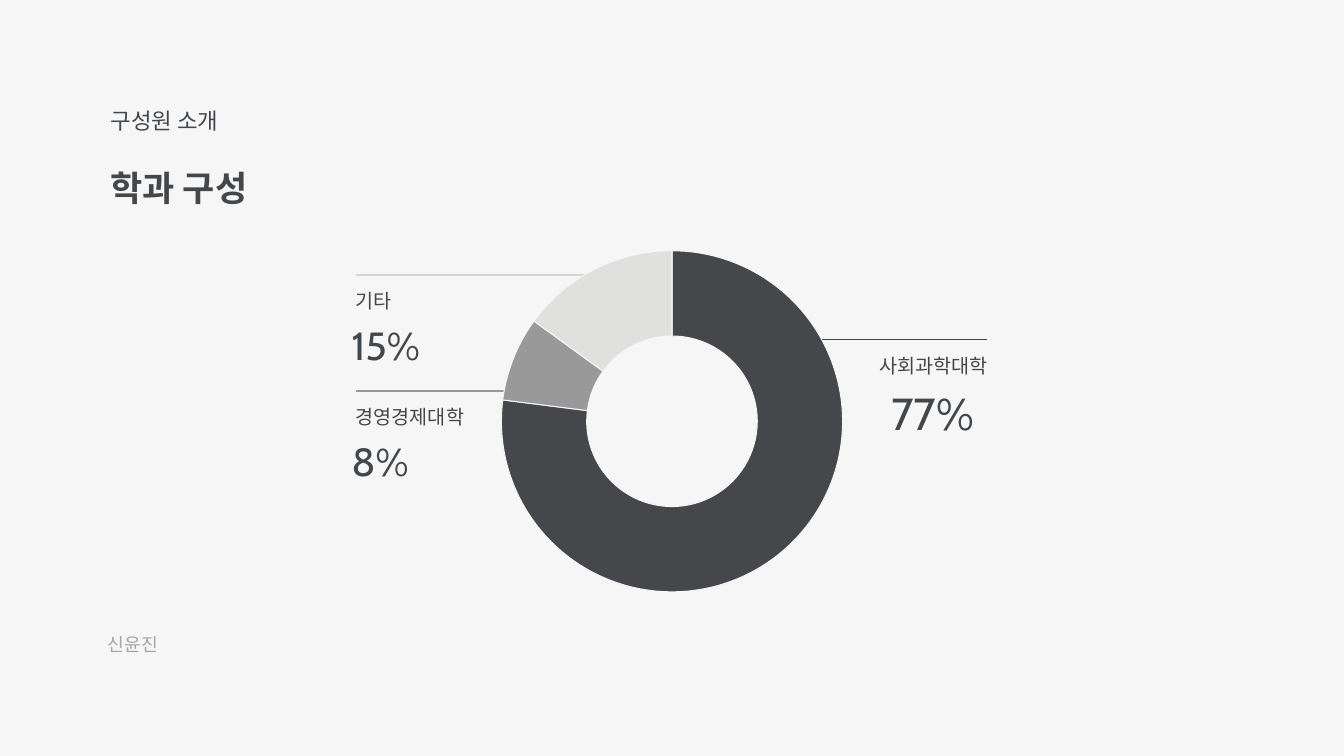
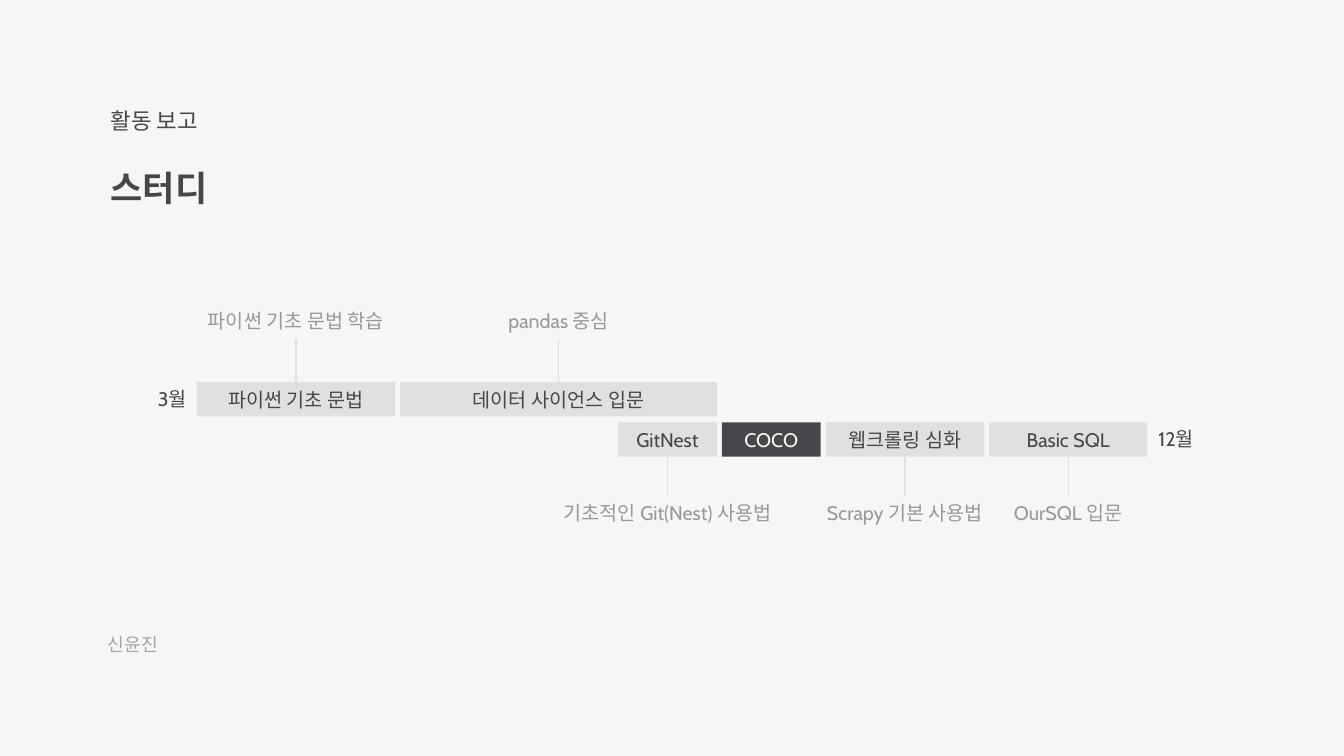
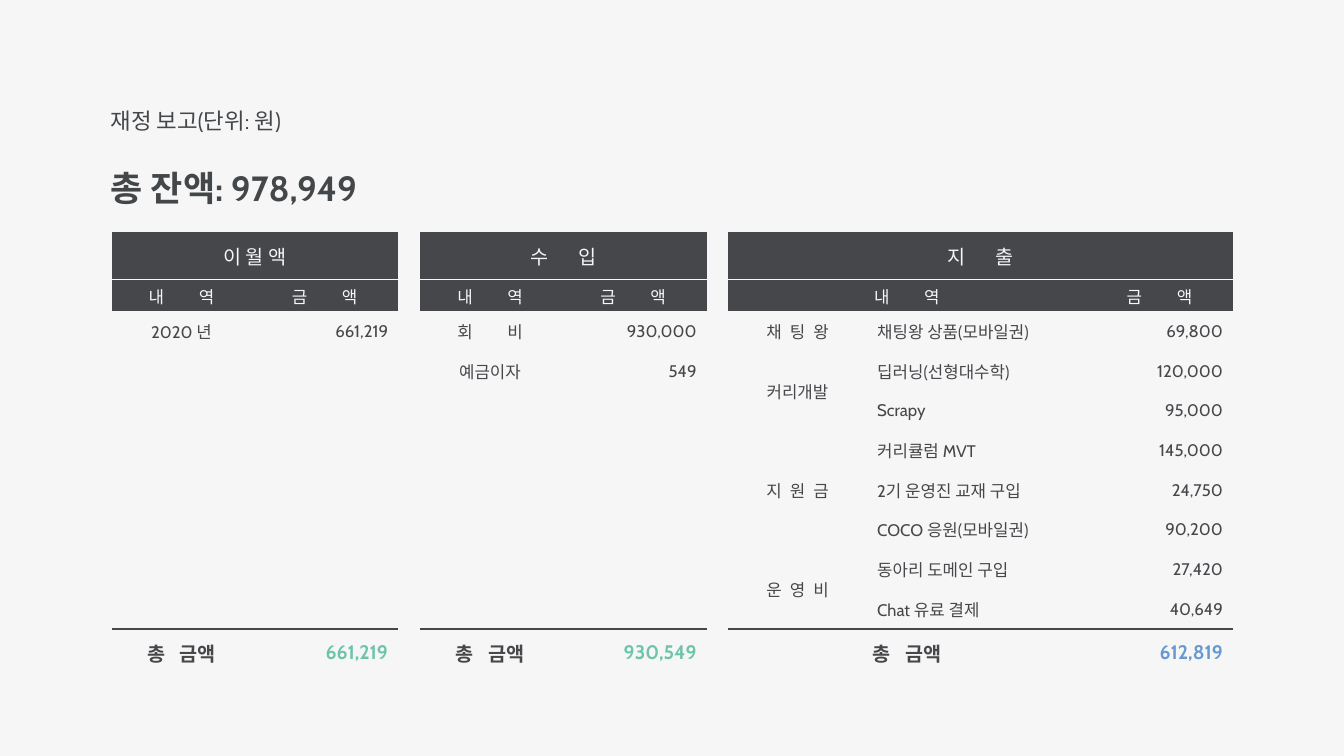
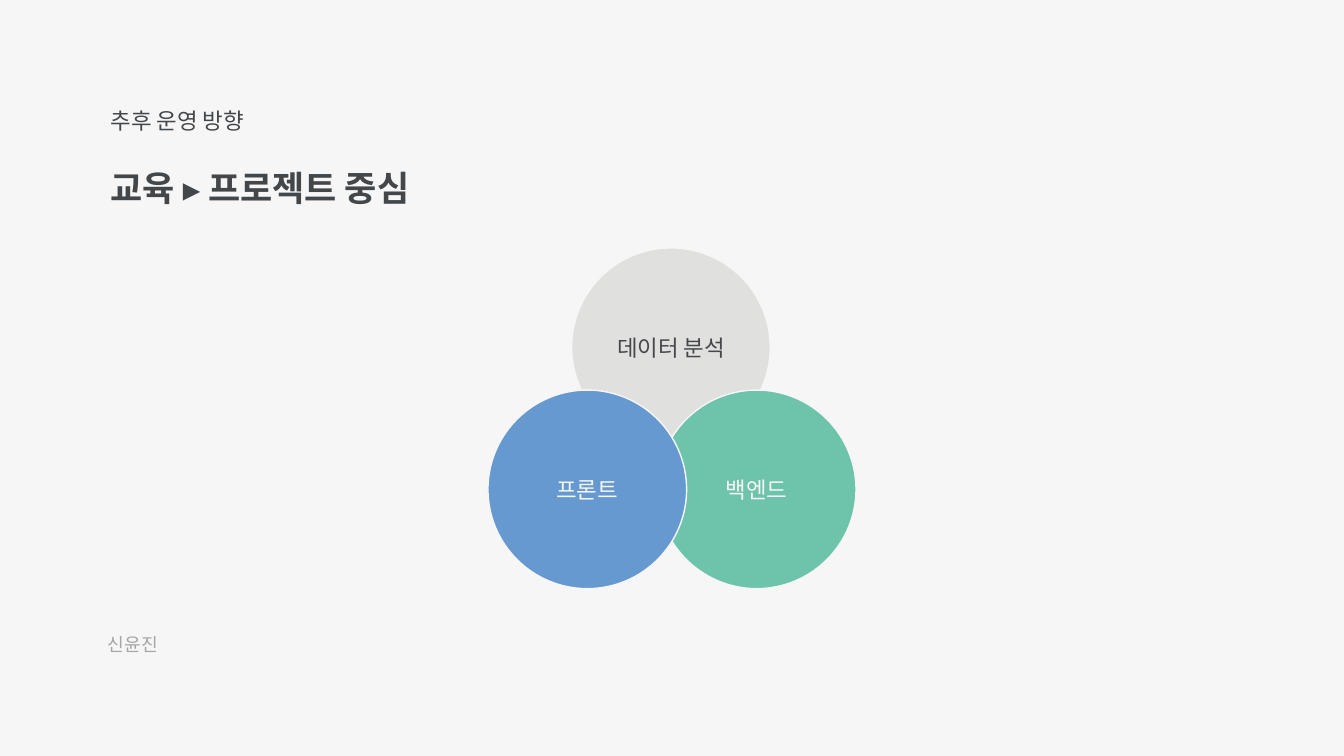
from lxml import etree
from pptx import Presentation
from pptx.chart.data import CategoryChartData
from pptx.dml.color import RGBColor
from pptx.enum.chart import XL_CHART_TYPE
from pptx.enum.shapes import MSO_CONNECTOR, MSO_SHAPE
from pptx.enum.text import MSO_ANCHOR, MSO_AUTO_SIZE, PP_ALIGN
from pptx.oxml.ns import qn
from pptx.util import Inches, Pt

LEFT, CENTER, RIGHT = PP_ALIGN.LEFT, PP_ALIGN.CENTER, PP_ALIGN.RIGHT
MIDDLE = MSO_ANCHOR.MIDDLE
FIT_SHAPE = MSO_AUTO_SIZE.SHAPE_TO_FIT_TEXT
STRAIGHT = MSO_CONNECTOR.STRAIGHT
RECTANGLE, CIRCLE = MSO_SHAPE.RECTANGLE, MSO_SHAPE.FLOWCHART_CONNECTOR
DOUGHNUT = XL_CHART_TYPE.DOUGHNUT
TOP_SIDE, BOTTOM_SIDE = 0, 2

FONT = "Cabin"
NO_TABLE_STYLE = "{2D5ABB26-0587-4C30-8999-92F81FD0307C}"
COLORS = {
    "paper": "F6F6F6", "text": "44474A", "dark": "45474A", "gray": "999999",
    "author": "A6A6A6", "rule": "D5D5D5", "light": "E0E0DF",
    "green": "6EC3AB", "blue": "6799D1",
}
RGB = {name: RGBColor.from_string(value) for name, value in COLORS.items()}

# Extra points between the letters of spaced-out table labels
LETTER_SPACING = {
    "수 입": 9, "지 출": 9, "내 역": 11, "금 액": 11, "회 비": 11,
    "채 팅 왕": 1.5, "지 원 금": 1.5, "운 영 비": 1.5, "총 금액": 3.5,
}


def write(frame, text, size, color="text", align=LEFT, bold=False):
    """Fill a text frame with one paragraph, spacing out listed labels."""
    para = frame.paragraphs[0]
    para.alignment = align
    para.font.name = FONT
    para.font.size = Pt(size)
    para.font.bold = bold
    para.font.color.rgb = RGB[color]
    spacing = LETTER_SPACING.get(text)
    if spacing:
        head, gap, tail = text.rpartition(" ")
        span = para.add_run()
        span.text = head + gap
        span._r.get_or_add_rPr().set("spc", str(int(spacing * 100)))
        text = tail
    if text:
        para.add_run().text = text


def add_text(page, left, top, width, height, text, size, *style):
    box = page.shapes.add_textbox(Inches(left), Inches(top), Inches(width), Inches(height))
    box.text_frame.word_wrap = True
    box.text_frame.auto_size = FIT_SHAPE
    write(box.text_frame, text, size, *style)
    return box


deck = Presentation()
deck.slide_width, deck.slide_height = Inches(13.33), Inches(7.5)
background = deck.slide_master.background.fill
background.solid()
background.fore_color.rgb = RGB["paper"]

# Shared headings and author line
headings = [
    ("구성원 소개", "학과 구성", True),
    ("활동 보고", "스터디", True),
    ("재정 보고(단위: 원)", "총 잔액: 978,949", False),
    ("추후 운영 방향", "교육 ▸ 프로젝트 중심", True),
]
pages = []
for section, title, has_author in headings:
    page = deck.slides.add_slide(deck.slide_layouts[6])
    add_text(page, 1, 1.01, 1.93, 0.37, section, 16)
    add_text(page, 1, 1.6, 3.68, 0.52, title, 25, "text", LEFT, True)
    if has_author:
        add_text(page, 0.97, 6.23, 0.74, 0.32, "신윤진", 13, "author")
    pages.append(page)
members, studies, finances, direction = pages
connectors = []

# Members: callouts and doughnut
callouts = [
    (3.53, 6.58, 2.73, "rule", 3.43, "기타", 3.39, "15%", 28),
    (3.53, 5.58, 3.88, "gray", 3.43, "경영경제대학", 3.39, "8%", 28),
    (7.57, 9.79, 3.37, "dark", 8.62, "사회과학대학", 8.74, "77%", 32),
]
for start, end, top, color, label_left, label, share_left, share, size in callouts:
    line = members.shapes.add_connector(
        STRAIGHT, Inches(start), Inches(top), Inches(end), Inches(top))
    connectors.append((line, color))
    add_text(members, label_left, top + 0.09, 2.5, 0.34, label, 14)
    add_text(members, share_left, top + 0.41, 2.5, size / 50, share, size)

data = CategoryChartData()
data.categories = ["1", "2", "3"]
data.add_series("Series 1", (77, 8, 15))
chart = members.shapes.add_chart(
    DOUGHNUT, Inches(3.92), Inches(2.35), Inches(5.49), Inches(3.66), data).chart
chart.has_title = chart.has_legend = False
chart.font.name, chart.font.size = "Calibri", Pt(10)
chart.font.color.rgb = RGBColor(0, 0, 0)
plot = chart.plots[0]
plot.vary_by_categories = True
plot._element.find(qn("c:holeSize")).set("val", "57")
for index, color in enumerate(("dark", "gray", "light")):
    part = plot.series[0].points[index].format
    part.fill.solid()
    part.fill.fore_color.rgb = RGB[color]
    part.line.color.rgb = RGB["paper"]
    part.line.width = Pt(0.75)

# Studies: two rows of bars, each with an optional note above or below
BAR_HEIGHT, BAR_GAP = 0.34, 0.05
add_text(studies, 1.13, 3.79, 0.82, BAR_HEIGHT, "3월", 14, "text", RIGHT)
add_text(studies, 11.39, 4.19, 0.82, BAR_HEIGHT, "12월", 14)
bar_rows = [
    (1.95, 3.79, 3.02, TOP_SIDE, BOTTOM_SIDE, [
        (1.97, "파이썬 기초 문법", "파이썬 기초 문법 학습", 2.5),
        (3.14, "데이터 사이언스 입문", "pandas 중심", 2.5),
    ]),
    (6.13, 4.19, 4.92, BOTTOM_SIDE, TOP_SIDE, [
        (0.98, "GitNest", "기초적인 Git(Nest) 사용법", 2.5),
        (0.98, "COCO", None, 0),
        (1.57, "웹크롤링 심화", "Scrapy 기본 사용법", 2.11),
        (1.57, "Basic SQL", "OurSQL 입문", 1.74),
    ]),
]
for left, top, note_top, bar_side, note_side, bars in bar_rows:
    for width, label, note, note_width in bars:
        bar = studies.shapes.add_shape(
            RECTANGLE, Inches(left), Inches(top), Inches(width), Inches(BAR_HEIGHT))
        bar.shadow.inherit = False
        bar.fill.solid()
        bar.fill.fore_color.rgb = RGB["light" if note else "dark"]
        bar.line.fill.background()
        write(bar.text_frame, label, 14, "dark" if note else "paper", CENTER)
        if note:
            note_box = add_text(studies, left + (width - note_width) / 2, note_top,
                                note_width, BAR_HEIGHT, note, 14, "gray", CENTER)
            line = studies.shapes.add_connector(STRAIGHT, 0, 0, 0, 0)
            line.begin_connect(bar, bar_side)
            line.end_connect(note_box, note_side)
            connectors.append((line, "light"))
        left += width + BAR_GAP

for line, color in connectors:
    line.line.color.rgb = RGB[color]
    line.line.width = Pt(1)
    etree.SubElement(line._element.spPr, qn("a:effectLst"))

# Finances: three ledgers with the same rows
BODY_ROWS = 8
TOTAL_ROW = BODY_ROWS + 2
heights = [0.47, 0.32] + [3.15 / BODY_ROWS] * BODY_ROWS + [0.47]
ledgers = [
    (1.11, [1.38, 1.46], "이 월 액", [("2020 년", "661,219")], [], "661,219", "green"),
    (4.17, [1.38, 1.46], "수 입", [("회 비", "930,000"), ("예금이자", "549")], [],
     "930,549", "green"),
    (7.22, [1.38, 2.17, 1.46], "지 출", [
        ("채 팅 왕", "채팅왕 상품(모바일권)", "69,800"),
        ("커리개발", "딥러닝(선형대수학)", "120,000"),
        ("", "Scrapy", "95,000"),
        ("지 원 금", "커리큘럼 MVT", "145,000"),
        ("", "2기 운영진 교재 구입", "24,750"),
        ("", "COCO 응원(모바일권)", "90,200"),
        ("운 영 비", "동아리 도메인 구입", "27,420"),
        ("", "Chat 유료 결제", "40,649"),
    ], [(3, 4), (5, 7), (8, 9)], "612,819", "blue"),
]
for left, widths, title, entries, groups, total, total_color in ledgers:
    last = len(widths) - 1
    padding = ("",) * (last - 1)
    empty_rows = [("",) * len(widths)] * (BODY_ROWS - len(entries))
    rows = [(title,) + ("",) * last, ("내 역",) + padding + ("금 액",),
            *entries, *empty_rows, ("총 금액",) + padding + (total,)]
    table = finances.shapes.add_table(
        len(rows), len(widths), Inches(left), Inches(2.3),
        Inches(sum(widths)), Inches(sum(heights))).table
    table._tbl.tblPr.find(qn("a:tableStyleId")).text = NO_TABLE_STYLE
    table.first_row = table.horz_banding = False
    for column, width in zip(table.columns, widths):
        column.width = Inches(width)
    for row, height in zip(table.rows, heights):
        row.height = Inches(height)

    for r, texts in enumerate(rows):
        is_header, is_total = r < 2, r == TOTAL_ROW
        for c, text in enumerate(texts):
            cell = table.cell(r, c)
            cell.vertical_anchor = MIDDLE
            cell.fill.solid()
            cell.fill.fore_color.rgb = RGB["dark" if is_header else "paper"]
            color = "paper" if is_header else "dark"
            if is_total and c == last:
                color = total_color
            if is_header or c == 0:
                align = CENTER
            else:
                align = RIGHT if c == last else LEFT
            write(cell.text_frame, text, 14 if r == 0 or is_total else 12,
                  color, align, is_total)
            if r == 1 or is_total:
                edge = etree.Element(qn("a:lnT"), w=str(Pt(1 if is_header else 2.25)))
                fill = etree.SubElement(edge, qn("a:solidFill"))
                etree.SubElement(fill, qn("a:srgbClr"),
                                 val=COLORS["paper" if is_header else "dark"])
                cell._tc.get_or_add_tcPr().insert(0, edge)

    table.cell(0, 0).merge(table.cell(0, last))
    if last > 1:
        for r in (1, TOTAL_ROW):
            table.cell(r, 0).merge(table.cell(r, last - 1))
    for first_row, last_row in groups:
        table.cell(first_row, 0).merge(table.cell(last_row, 0))

# Direction: overlapping circles
DIAMETER = 1.97
circles = [
    (5.67, 2.46, "light", "데이터 분석", "dark"),
    (6.52, 3.87, "green", "백엔드", "paper"),
    (4.84, 3.87, "blue", "프론트", "paper"),
]
for left, top, color, label, label_color in circles:
    circle = direction.shapes.add_shape(
        CIRCLE, Inches(left), Inches(top), Inches(DIAMETER), Inches(DIAMETER))
    circle.shadow.inherit = False
    circle.fill.solid()
    circle.fill.fore_color.rgb = RGB[color]
    circle.line.color.rgb = RGB["paper"]
    circle.line.width = Pt(1)
    write(circle.text_frame, label, 16, label_color, CENTER)

deck.save("out.pptx")
